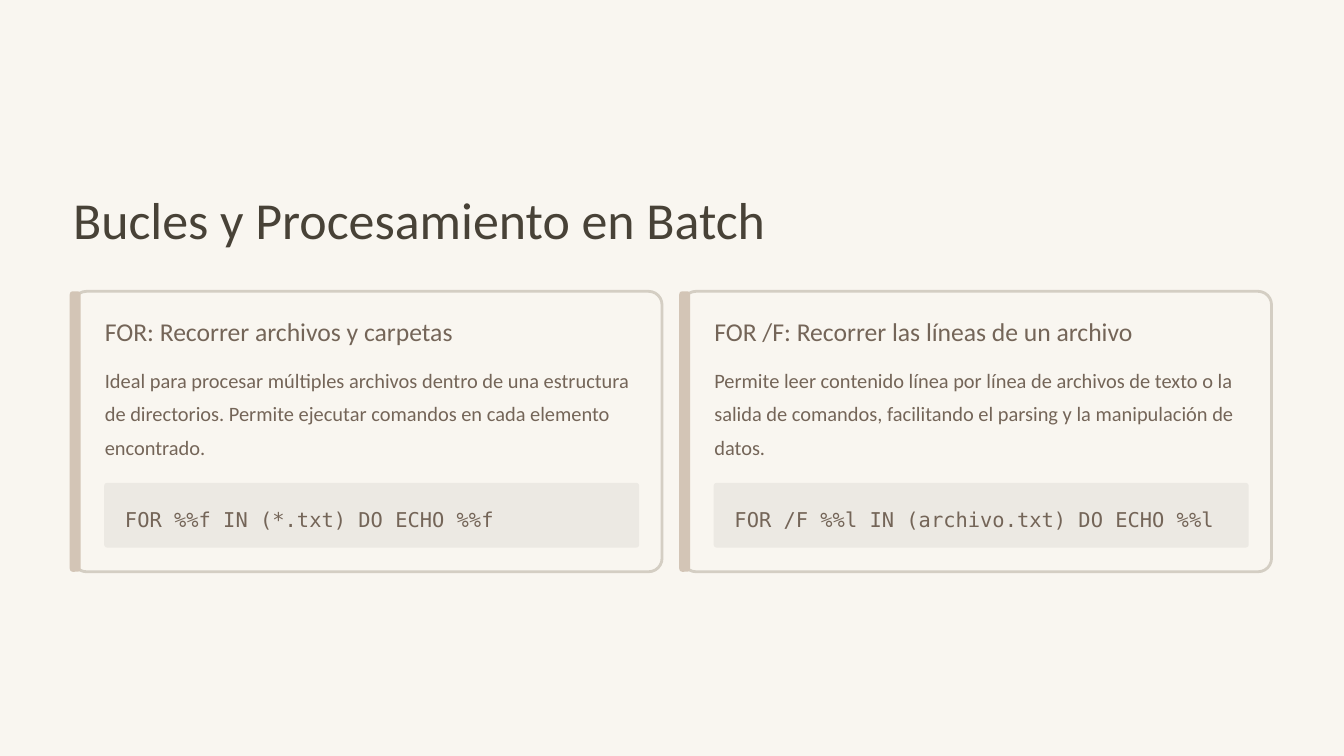
from pptx import Presentation
from pptx.dml.color import RGBColor
from pptx.enum.shapes import MSO_SHAPE
from pptx.enum.text import MSO_ANCHOR, MSO_AUTO_SIZE, PP_ALIGN
from pptx.util import Cm, Pt

ROUNDED = MSO_SHAPE.ROUNDED_RECTANGLE
TOP = MSO_ANCHOR.TOP
NO_AUTOFIT = MSO_AUTO_SIZE.NONE
LEFT = PP_ALIGN.LEFT

TITLE_LAYOUT = 5
CREAM = "F9F6F0"
BORDER = "D4CEC3"
ACCENT = "D3C5B6"
CODE_FILL = "ECE9E3"
DARK = "484237"
BROWN = "746558"
SANS = "Calibri"
MONO = "DejaVu Sans Mono"

CARDS = [
    ("FOR: Recorrer archivos y carpetas",
     "Ideal para procesar múltiples archivos dentro de una estructura de directorios. "
     "Permite ejecutar comandos en cada elemento encontrado.",
     "FOR %%f IN (*.txt) DO ECHO %%f"),
    ("FOR /F: Recorrer las líneas de un archivo",
     "Permite leer contenido línea por línea de archivos de texto o la salida de comandos, "
     "facilitando el parsing y la manipulación de datos.",
     "FOR /F %%l IN (archivo.txt) DO ECHO %%l"),
]
CARD_LEFT, CARD_TOP = 2.11, 8.81
CARD_WIDTH, CARD_HEIGHT = 17.91, 8.48
CARD_STEP = 18.43


def color(value):
    """Turn a hex string into a colour."""
    return RGBColor.from_string(value)


def write_text(shape, text, size=17.5, spacing=28.5, font=SANS, fill=BROWN, wrap=False):
    """Put one formatted paragraph into a shape without margins."""
    frame = shape.text_frame
    frame.auto_size = NO_AUTOFIT
    frame.word_wrap = wrap
    frame.vertical_anchor = TOP
    frame.margin_left = frame.margin_right = frame.margin_top = frame.margin_bottom = 0
    paragraph = frame.paragraphs[0]
    paragraph.alignment = LEFT
    paragraph.line_spacing = Pt(spacing)
    run = paragraph.add_run()
    run.text = text
    run.font.size = Pt(size)
    run.font.name = font
    run.font.color.rgb = color(fill)


def add_panel(shapes, left, top, width, height, fill, radius, line=None):
    """Add a rounded rectangle, outlined when a line colour is given."""
    shape = shapes.add_shape(ROUNDED, Cm(left), Cm(top), Cm(width), Cm(height))
    shape.shadow.inherit = False
    shape.adjustments[0] = radius
    shape.fill.solid()
    shape.fill.fore_color.rgb = color(fill)
    if line:
        shape.line.color.rgb = color(line)
        shape.line.width = Pt(2.4)
    else:
        shape.line.fill.background()


def add_text(shapes, left, top, width, height, text, **text_format):
    """Add a text box with formatted text."""
    box = shapes.add_textbox(Cm(left), Cm(top), Cm(width), Cm(height))
    write_text(box, text, **text_format)


def place_title(slide, left, top, width, height):
    """Move and format the title placeholder."""
    title = slide.shapes.title
    title.left, title.top, title.width, title.height = Cm(left), Cm(top), Cm(width), Cm(height)
    write_text(title, "Bucles y Procesamiento en Batch", size=44.5, spacing=55.5, fill=DARK)


def add_card(slide, left, top, width, height, heading, body, code):
    """Draw a grouped card with an accent bar, two texts and a code panel."""
    shapes = slide.shapes.add_group_shape().shapes
    inner_left, inner_width = left + 1.06, width - 1.75
    add_panel(shapes, left + 0.1, top, width - 0.1, height, CREAM, 0.048, line=BORDER)
    add_panel(shapes, left, top, 0.33, height, ACCENT, 0.279)
    add_text(shapes, inner_left, top + 0.71, inner_width, 0.99, heading, size=22, spacing=27.5)
    add_text(shapes, inner_left, top + 2.06, inner_width, 3.02, body, wrap=True)
    add_panel(shapes, inner_left - 0.02, top + 5.79, inner_width + 0.02, 1.96, CODE_FILL, 0.048)
    add_text(shapes, inner_left + 0.61, top + 6.27, inner_width - 1.22, 1.02, code, font=MONO)


def main():
    """Build and save the slide."""
    presentation = Presentation()
    presentation.slide_width, presentation.slide_height = Cm(40.64), Cm(22.86)
    slide = presentation.slides.add_slide(presentation.slide_layouts[TITLE_LAYOUT])
    slide.background.fill.solid()
    slide.background.fill.fore_color.rgb = color(CREAM)
    place_title(slide, 2.21, 5.59, 25.5, 1.98)
    for index, card in enumerate(CARDS):
        add_card(slide, CARD_LEFT + index * CARD_STEP, CARD_TOP, CARD_WIDTH, CARD_HEIGHT, *card)
    presentation.save("out.pptx")


if __name__ == "__main__":
    main()
